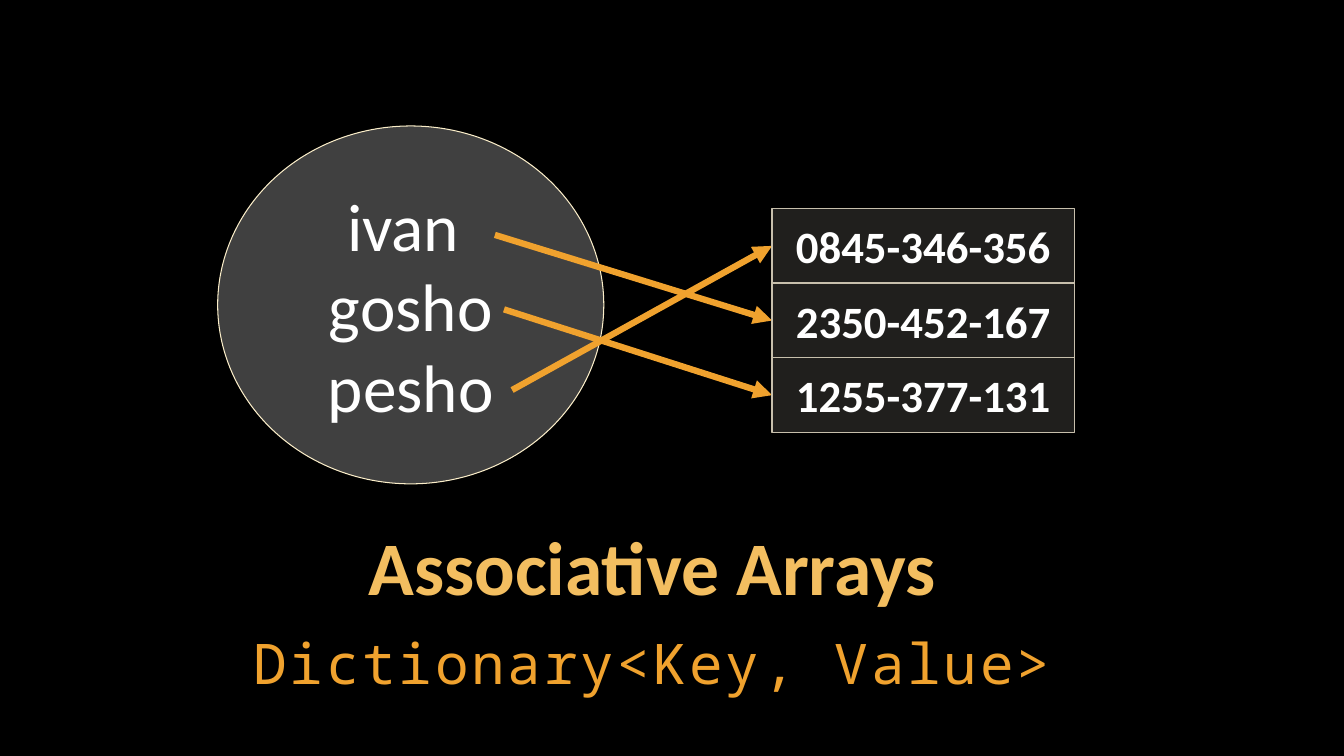
"""Build the Associative Arrays slide: names mapped to phone numbers."""
from lxml import etree
from pptx import Presentation
from pptx.dml.color import RGBColor
from pptx.enum.shapes import MSO_CONNECTOR, MSO_SHAPE
from pptx.enum.text import MSO_ANCHOR, PP_ALIGN
from pptx.oxml.ns import qn
from pptx.util import Pt

STRAIGHT = MSO_CONNECTOR.STRAIGHT
ELLIPSE, RECTANGLE = MSO_SHAPE.OVAL, MSO_SHAPE.RECTANGLE
TOP, MIDDLE, BOTTOM = MSO_ANCHOR.TOP, MSO_ANCHOR.MIDDLE, MSO_ANCHOR.BOTTOM
CENTER = PP_ALIGN.CENTER
LEFT_SIDE = 1

TITLE = "Associative Arrays"
SUBTITLE = "Dictionary<Key, Value>"
NAMES = ["ivan ", "gosho", "pesho"]
PHONES = ["0845-346-356", "2350-452-167", "1255-377-131"]
LINKS = [((353.5, 167.8), 1), ((360, 221), 2), ((365.8, 278.6), 0)]

TITLE_BOX = (113.8, 378, 704.2, 61.2)
SUBTITLE_BOX = (113.8, 443.5, 704.2, 54)
NAMES_BOX = (155.5, 90, 275.8, 255.6)
PHONE_LEFT, PHONE_TOP, PHONE_WIDTH, PHONE_HEIGHT = 551.5, 149, 216, 53.3

TITLE_FONT = {"name": "Calibri", "size": Pt(54), "bold": True}
SUBTITLE_FONT = {"name": "Noto Sans Mono", "size": Pt(40), "bold": False}
NAME_FONT = {"name": "Calibri", "size": Pt(48), "bold": False}
PHONE_FONT = {"name": "Calibri", "size": Pt(32), "bold": True}
ORANGE, WHITE = "F0A22E", "FFFFFF"


def paint(color_format, color):
    color_format.rgb = RGBColor.from_string(color)


def place(shape, box):
    for side, length in zip(("left", "top", "width", "height"), box):
        setattr(shape, side, Pt(length))


def write(shape, lines, font, color, anchor, inset, **spacing):
    frame = shape.text_frame
    frame.text = "\n".join(lines)
    margins = dict(zip(("margin_left", "margin_top", "margin_right", "margin_bottom"),
                       map(Pt, inset * 2)))
    for key, value in {"word_wrap": True, "vertical_anchor": anchor, **margins}.items():
        setattr(frame, key, value)
    for paragraph in frame.paragraphs:
        for key, value in {"alignment": CENTER, **spacing}.items():
            setattr(paragraph, key, value)
        for run in paragraph.runs:
            for key, value in font.items():
                setattr(run.font, key, value)
            paint(run.font.color, color)


def add_panel(shapes, kind, box, fill, opacity, line, line_width):
    panel = shapes.add_shape(kind, *map(Pt, box))
    panel.shadow.inherit = False
    panel.fill.solid()
    paint(panel.fill.fore_color, fill)
    solid = panel._element.spPr.find(qn("a:solidFill"))
    etree.SubElement(solid[0], qn("a:alpha"), val=str(opacity * 1000))
    paint(panel.line.color, line)
    panel.line.width = Pt(line_width)
    return panel


def add_arrow(shapes, start):
    arrow = shapes.add_connector(STRAIGHT, *map(Pt, start * 2))
    paint(arrow.line.color, ORANGE)
    arrow.line.width = Pt(4.5)
    etree.SubElement(arrow.line._get_or_add_ln(), qn("a:tailEnd"), type="triangle")
    etree.SubElement(arrow._element.spPr, qn("a:effectLst"))
    return arrow


def main():
    deck = Presentation()
    deck.slide_width, deck.slide_height = Pt(960), Pt(540)
    slide = deck.slides.add_slide(deck.slide_layouts[5])
    slide.background.fill.solid()
    paint(slide.background.fill.fore_color, "000000")
    shapes = slide.shapes

    place(shapes.title, TITLE_BOX)
    write(shapes.title, [TITLE], TITLE_FONT, "F3BE60", BOTTOM, (2.9, 2.9),
          line_spacing=Pt(54))
    subtitle = shapes.add_textbox(*map(Pt, SUBTITLE_BOX))
    write(subtitle, [SUBTITLE], SUBTITLE_FONT, ORANGE, TOP, (2.9, 2.9),
          line_spacing=1.05, space_after=Pt(6))
    subtitle.text_frame.paragraphs[0].runs[0]._r.get_or_add_rPr().set("spc", "200")

    names = add_panel(shapes, ELLIPSE, NAMES_BOX, "808080", 50, "FBEEC9", 0.75)
    write(names, NAMES, NAME_FONT, WHITE, MIDDLE, (7.2, 3.6))

    arrows = [add_arrow(shapes, start) for start, _ in LINKS]
    phones = []
    for row, number in enumerate(PHONES):
        box = (PHONE_LEFT, PHONE_TOP + row * PHONE_HEIGHT, PHONE_WIDTH, PHONE_HEIGHT)
        phone = add_panel(shapes, RECTANGLE, box, "D9D5C7", 15, "C7BFAC", 1)
        write(phone, [number], PHONE_FONT, WHITE, TOP, (14.4, 7.2))
        phones.append(phone)
    for arrow, (_, row) in zip(arrows, LINKS):
        arrow.end_connect(phones[row], LEFT_SIDE)

    deck.save("out.pptx")


if __name__ == "__main__":
    main()
